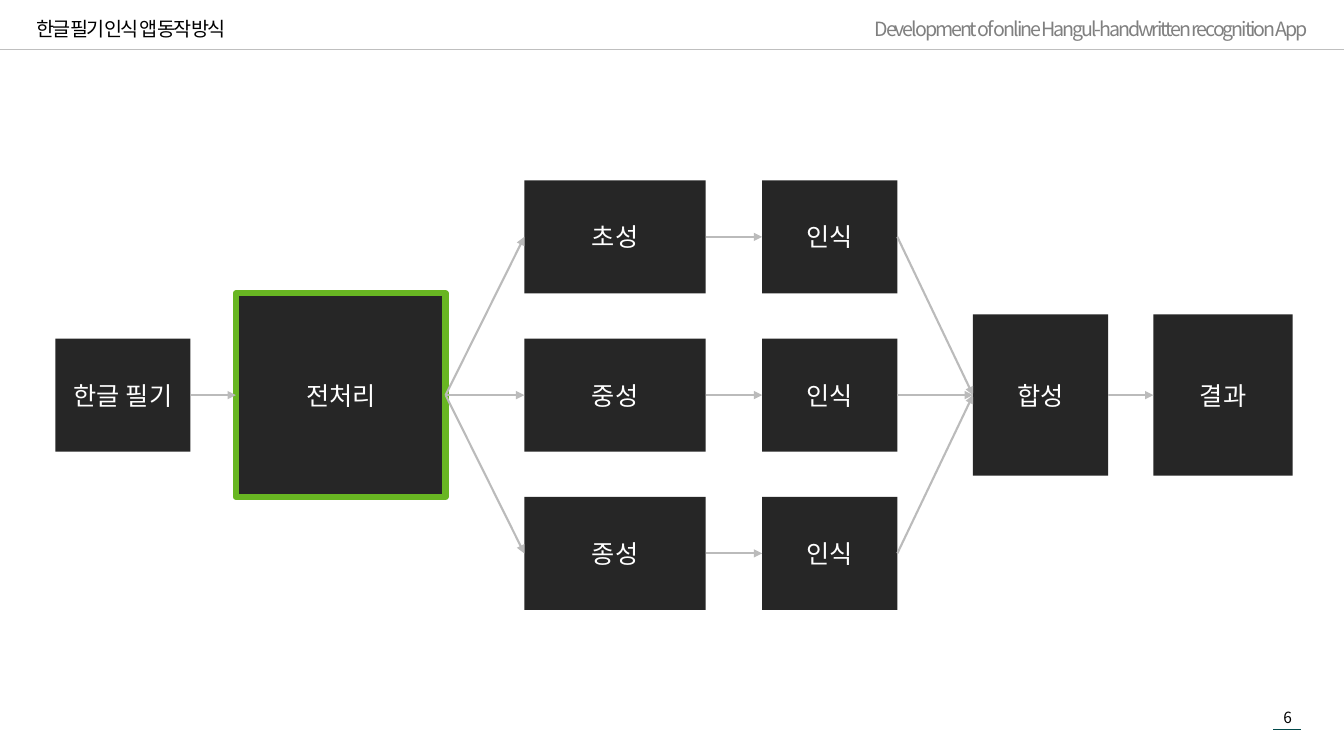
from pptx import Presentation
from pptx.dml.color import RGBColor
from pptx.enum.shapes import MSO_CONNECTOR as Connector, MSO_SHAPE as Preset
from pptx.enum.text import MSO_ANCHOR as Anchor, PP_ALIGN as Align
from pptx.oxml.ns import qn
from pptx.util import Pt
from lxml.etree import SubElement

EMU_PER_PX = 9144
LEFT_SITE, RIGHT_SITE = 1, 3


def px(length):
    return length * EMU_PER_PX


def color(value):
    return RGBColor.from_string(value)


class SlideBuilder:
    font_name = "Noto Sans CJK KR"
    box_fill = "262626"
    arrow_color = "BBBBBB"

    def __init__(self, presentation):
        self.slide = presentation.slides.add_slide(presentation.slide_layouts[5])
        self.shapes = self.slide.shapes

    def set_text(self, shape, text, size, text_color, align, anchor, tight=False):
        frame = shape.text_frame
        frame.word_wrap = True
        frame.vertical_anchor = anchor
        paragraph = frame.paragraphs[0]
        paragraph.text = text
        paragraph.alignment = align
        font = paragraph.font
        font.size = Pt(size)
        font.name = self.font_name
        font.color.rgb = color(text_color)
        properties = paragraph._p.pPr.find(qn("a:defRPr"))
        SubElement(properties, qn("a:ea")).set("typeface", self.font_name)
        if tight:
            paragraph.line_spacing = 1.3
            properties.set("spc", "-150")

    def title(self, text, left, top, width, height):
        title = self.shapes.title
        title.left, title.top = px(left), px(top)
        title.width, title.height = px(width), px(height)
        self.set_text(title, text, 14, "000000", Align.LEFT, Anchor.MIDDLE, tight=True)

    def label(self, text, left, top, width, height, size, text_color, align, anchor, tight=False):
        label = self.shapes.add_textbox(px(left), px(top), px(width), px(height))
        self.set_text(label, text, size, text_color, align, anchor, tight)

    def box(self, text, left, middle, width, height, outline=None):
        box = self.shapes.add_shape(
            Preset.RECTANGLE, px(left), px(middle - height // 2), px(width), px(height)
        )
        box.shadow.inherit = False
        box.fill.solid()
        box.fill.fore_color.rgb = color(self.box_fill)
        if outline:
            box.line.color.rgb = color(outline)
            box.line.width = Pt(4.5)
        else:
            box.line.fill.background()
        self.set_text(box, text, 18, "FFFFFF", Align.CENTER, Anchor.MIDDLE)
        return box

    def line(self, start_x, start_y, end_x, end_y, line_color, width):
        line = self.shapes.add_connector(
            Connector.STRAIGHT, px(start_x), px(start_y), px(end_x), px(end_y)
        )
        line.line.color.rgb = color(line_color)
        line.line.width = Pt(width)
        SubElement(line._element.spPr, qn("a:effectLst"))
        return line

    def arrow(self, source, target):
        arrow = self.line(0, 0, 0, 0, self.arrow_color, 1.5)
        arrow.begin_connect(source, RIGHT_SITE)
        arrow.end_connect(target, LEFT_SITE)
        outline = arrow._element.spPr.find(qn("a:ln"))
        SubElement(outline, qn("a:tailEnd")).set("type", "triangle")


def main():
    presentation = Presentation()
    presentation.slide_width, presentation.slide_height = px(1333), px(750)
    builder = SlideBuilder(presentation)

    builder.label("6", 1243, 698, 68, 29, 11, "000000", Align.CENTER, Anchor.TOP)
    builder.line(1263, 724, 1290, 724, "024A4B", 0.5)
    builder.label(
        "Development of online Hangul-handwritten recognition App",
        732, 6, 575, 39, 14, "808080", Align.RIGHT, Anchor.BOTTOM, tight=True,
    )
    builder.line(0, 49, 1333, 49, "BFBFBF", 1)
    builder.title("한글 필기 인식 앱 동작 방식", 26, -9, 554, 68)

    middle = 392
    handwriting = builder.box("한글 필기", 55, middle, 134, 112)
    preprocessing = builder.box("전처리", 234, middle, 208, 202, outline="68B622")
    synthesis = builder.box("합성", 965, middle, 134, 160)
    result = builder.box("결과", 1144, middle, 138, 160)

    builder.arrow(handwriting, preprocessing)
    for row, letter_part in enumerate(["초성", "중성", "종성"], start=-1):
        row_middle = middle + row * 157
        part = builder.box(letter_part, 520, row_middle, 180, 112)
        recognition = builder.box("인식", 756, row_middle, 134, 112)
        builder.arrow(preprocessing, part)
        builder.arrow(part, recognition)
        builder.arrow(recognition, synthesis)
    builder.arrow(synthesis, result)

    presentation.save("out.pptx")


if __name__ == "__main__":
    main()
